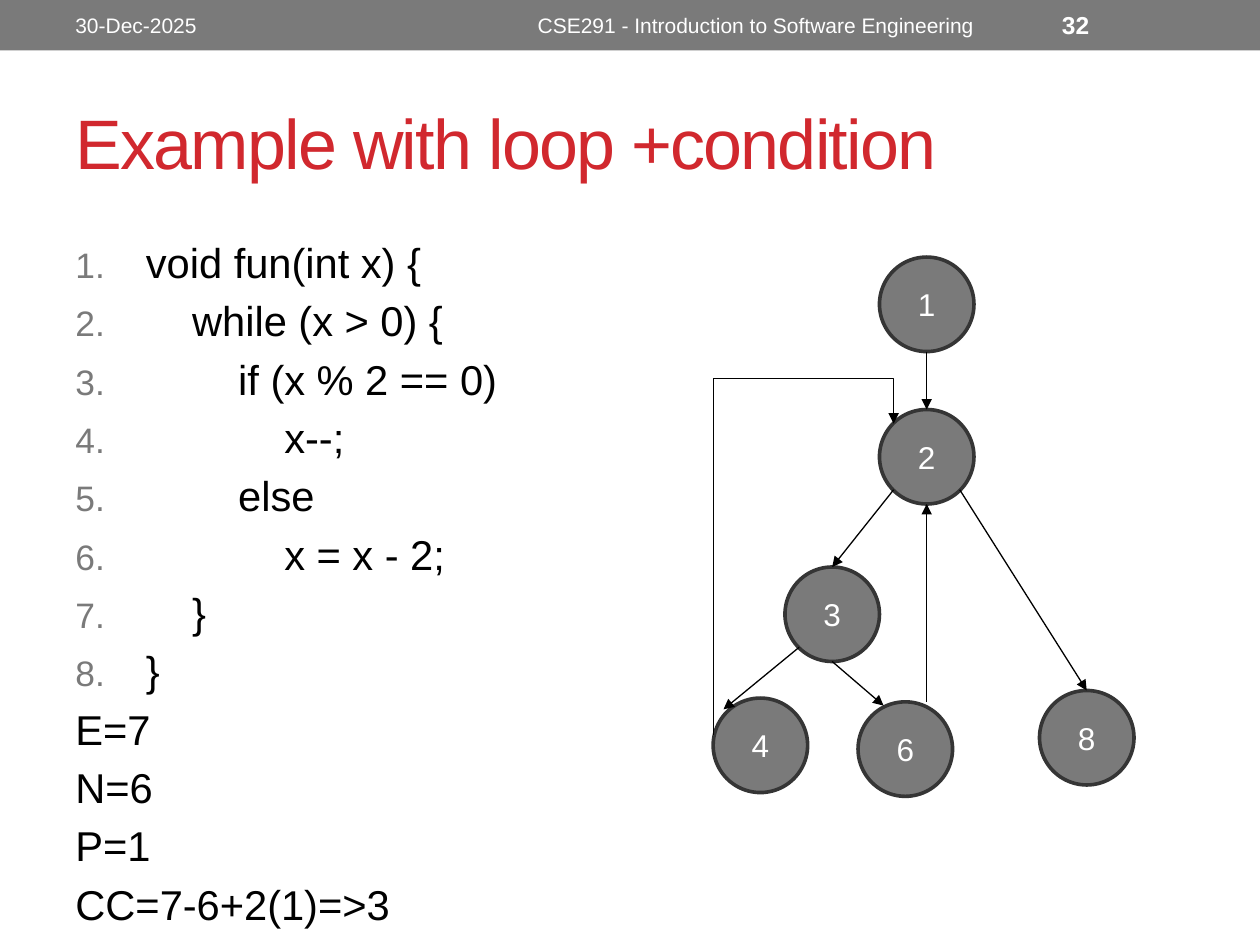
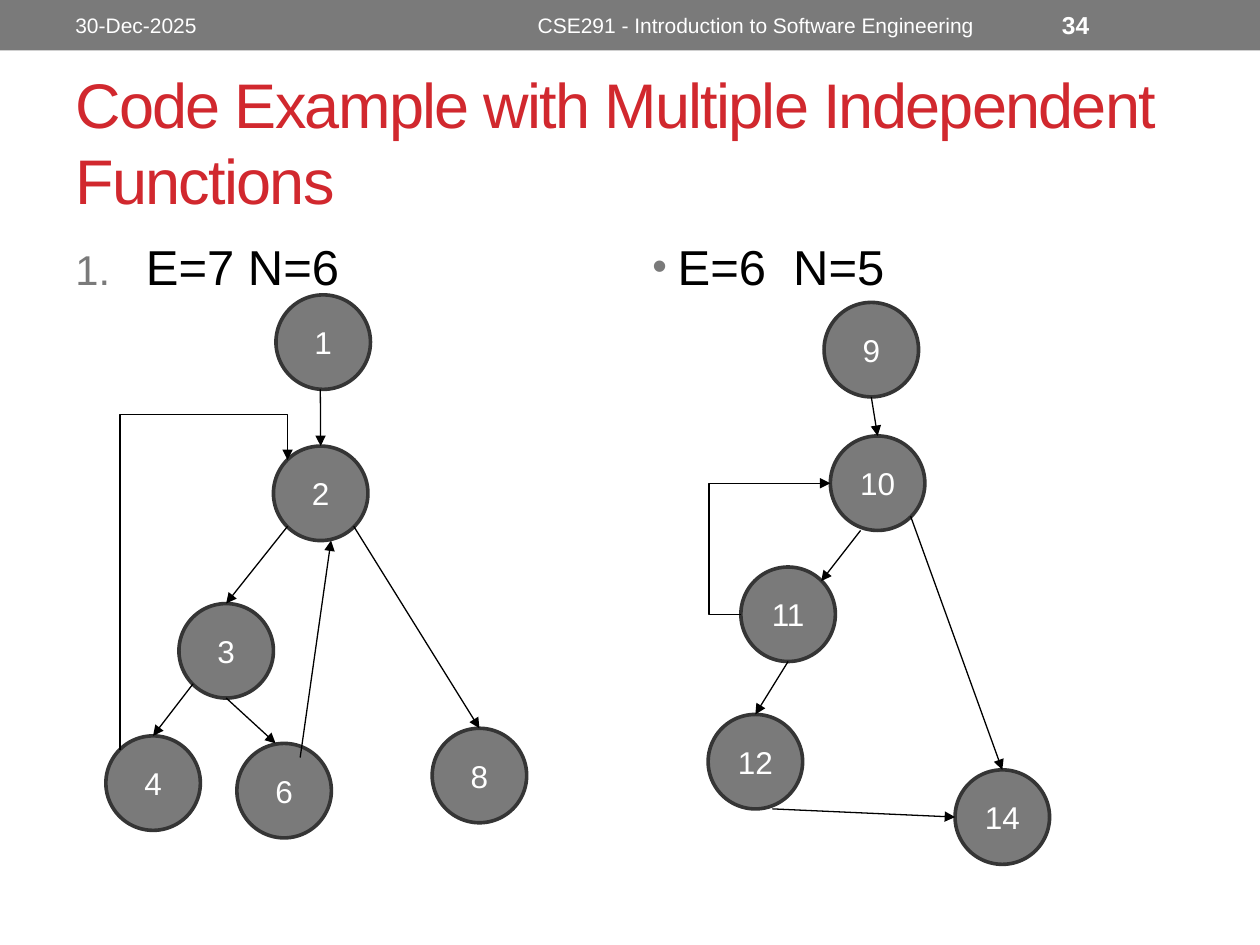
"""Build two slides on control flow graphs and cyclomatic complexity."""
from lxml import etree
from pptx import Presentation, util as u
from pptx.dml.color import RGBColor
from pptx.enum import shapes, text
from pptx.oxml.ns import qn

COLORS = {"gray": "7A7A7A", "outline": "353535", "red": "D1282E",
          "black": "000000", "white": "FFFFFF"}
FONT = "Arial"
COLS = 10
NODE = 0.75
LEFT, TITLE_TOP, BODY_TOP = 0.5, 0.58, 1.83
BODY_W, BODY_H = 4.42, 5.16
T, B, L = (0.5, 0), (0.5, 1), (0, 0.5)
TL, TR, BL, BR = (0.15, 0.15), (0.85, 0.15), (0.15, 0.85), (0.85, 0.85)

FOOTERS = [
    (0.5, 3.17, "30-Dec-2025", 12, False, text.PP_ALIGN.LEFT),
    (3.75, 4.5, "CSE291 - Introduction to Software Engineering", 12, False,
     text.PP_ALIGN.CENTER),
    (8.33, 1.17, None, 14, True, text.PP_ALIGN.LEFT),
]
CODE = ["void fun(int x) {", "    while (x > 0) {", "        if (x % 2 == 0)",
        "            x--;", "        else", "            x = x - 2;", "    }", "}"]
RESULTS = ["E=7", "N=6", "P=1", "CC=7-6+2(1)=>3"]

SLIDES = [
    {"number": "32", "title": "Example with loop +condition", "title_size": 40,
     "bodies": [(LEFT, 23.8, [("number", t) for t in CODE] + [("plain", t) for t in RESULTS])],
     "nodes": {"1": (6.98, 2.04), "2": (6.98, 3.25), "3": (6.23, 4.5),
               "4": (5.66, 5.54), "6": (6.81, 5.57), "8": (8.25, 5.48)},
     "arrows": [("1", B, "2", T), ("2", BL, "3", T), ("2", BR, "8", T),
                ("3", B, "6", (0.27, 0.04)), ("3", BL, "4", (0.11, 0.12)),
                ("6", (0.5 + 0.17 / NODE, 0), "2", B)],
     "loops": [("4", (0, 0.39), "2", TL, 90, 1.145)]},
    {"number": "34", "title": "Code Example with Multiple Independent Functions",
     "title_size": 36,
     "bodies": [(LEFT, 28, [("number", "E=7 N=6")]),
                (5.08, 28, [("bullet", "E=6  N=5")])],
     "nodes": {"1": (2.19, 2.34), "2": (2.17, 3.54), "3": (1.42, 4.79),
               "4": (0.84, 5.84), "6": (1.88, 5.9), "8": (3.43, 5.78),
               "9": (6.54, 2.4), "10": (6.59, 3.46), "11": (5.88, 4.5),
               "12": (5.62, 5.67), "14": (7.58, 6.11)},
     "arrows": [("1", (0.47, 1), "2", T), ("2", BL, "3", T), ("2", BR, "8", T),
                ("3", B, "6", (0.41, 0)), ("3", BL, "4", T),
                ("6", (0.67, 0.15), "2", (0.61, 1)),
                ("9", B, "10", T), ("10", (0.32, 1), "11", TR),
                ("11", B, "12", T), ("10", BR, "14", T),
                ("12", (0.68, 1), "14", L)],
     "loops": [("4", TL, "2", TL, 90, 1.157), ("11", L, "10", L, 180, -0.357)]},
]

prs = Presentation()
prs.slide_width, prs.slide_height = u.Inches(10), u.Inches(7.5)
UNIT = prs.slide_width // COLS


def add_run(p, words, size, color, bold=False):
    r = p.add_run()
    r.text = words
    r.font.name, r.font.size, r.font.bold = FONT, u.Pt(size), bold
    r.font.color.rgb = RGBColor.from_string(COLORS[color])
    return r


def add_arrow(s, kind, x1, y1, x2, y2):
    c = s.shapes.add_connector(kind, *(round(v * UNIT) for v in (x1, y1, x2, y2)))
    c.line.color.rgb = RGBColor.from_string(COLORS["black"])
    c.line.width = u.Pt(0.75)
    props = c.element.spPr
    etree.SubElement(props.find(qn("a:ln")), qn("a:tailEnd"), type="triangle")
    etree.SubElement(props, qn("a:effectLst"))
    return c


for data in SLIDES:
    s = prs.slides.add_slide(prs.slide_layouts[5])
    band = s.shapes.add_shape(shapes.MSO_SHAPE.RECTANGLE, 0, 0, prs.slide_width,
                              round(0.4 * UNIT))
    band.shadow.inherit = False
    band.fill.solid()
    band.fill.fore_color.rgb = RGBColor.from_string(COLORS["gray"])
    band.line.fill.background()

    title = s.shapes.title
    title.left, title.top, title.width, title.height = (
        round(v * UNIT) for v in (LEFT, TITLE_TOP, 9, 1.08))
    tf = title.text_frame
    tf.auto_size, tf.word_wrap = text.MSO_AUTO_SIZE.NONE, True
    tf.vertical_anchor = text.MSO_ANCHOR.MIDDLE
    p = tf.paragraphs[0]
    p.alignment = text.PP_ALIGN.LEFT
    r = add_run(p, data["title"], data["title_size"], "red")
    r.font._element.set("spc", "-100")

    for x, w, words, size, bold, align in FOOTERS:
        tf = s.shapes.add_textbox(*(round(v * UNIT) for v in (x, 0.02, w, 0.36))).text_frame
        tf.word_wrap, tf.vertical_anchor = True, text.MSO_ANCHOR.MIDDLE
        tf.paragraphs[0].alignment = align
        add_run(tf.paragraphs[0], words or data["number"], size, "white", bold)

    for x, size, lines in data["bodies"]:
        tf = s.shapes.add_textbox(
            *(round(v * UNIT) for v in (x, BODY_TOP, BODY_W, BODY_H))).text_frame
        tf.word_wrap = True
        for i, (style, words) in enumerate(lines):
            p = tf.add_paragraph() if i else tf.paragraphs[0]
            if style != "plain":
                indent = u.Inches(0.56 if style == "number" else 0.2)
                pPr = p._p.get_or_add_pPr()
                pPr.set("marL", str(indent))
                pPr.set("indent", str(-indent))
                clr = etree.SubElement(pPr, qn("a:buClr"))
                etree.SubElement(clr, qn("a:srgbClr"), val=COLORS["gray"])
                etree.SubElement(pPr, qn("a:buSzPct"), val="85000")
                etree.SubElement(pPr, qn("a:buFont"), typeface=FONT)
                if style == "number":
                    etree.SubElement(pPr, qn("a:buAutoNum"), type="arabicPeriod")
                else:
                    etree.SubElement(pPr, qn("a:buChar"), char="•")
            if i:
                p.space_before = u.Pt(0.2 * size)
            add_run(p, words, size, "black")

    nodes = {}
    for name, (x, y) in data["nodes"].items():
        sp = s.shapes.add_shape(shapes.MSO_SHAPE.OVAL,
                                *(round(v * UNIT) for v in (x, y, NODE, NODE)))
        sp.shadow.inherit = False
        sp.fill.solid()
        sp.fill.fore_color.rgb = RGBColor.from_string(COLORS["gray"])
        sp.line.color.rgb = RGBColor.from_string(COLORS["outline"])
        sp.line.width = u.Pt(2.08)
        tf = sp.text_frame
        tf.margin_left = tf.margin_right = 0
        tf.vertical_anchor = text.MSO_ANCHOR.MIDDLE
        tf.paragraphs[0].alignment = text.PP_ALIGN.CENTER
        add_run(tf.paragraphs[0], name, 18, "white")
        nodes[name] = sp

    for start, site1, end, site2 in data["arrows"]:
        (x1, y1), (x2, y2) = (
            [a + NODE * f for a, f in zip(data["nodes"][n], site)]
            for n, site in ((start, site1), (end, site2)))
        c = add_arrow(s, shapes.MSO_CONNECTOR.STRAIGHT, x1, y1, x2, y2)
        if site2 == T:
            c.end_connect(nodes[end], 0)

    for start, site1, end, site2, turn, bend in data["loops"]:
        (x1, y1), (x2, y2) = (
            [a + NODE * f for a, f in zip(data["nodes"][n], site)]
            for n, site in ((start, site1), (end, site2)))
        cx, cy, w, h = (x1 + x2) / 2, (y1 + y2) / 2, x2 - x1, y1 - y2
        if turn == 90:
            w, h = h, w
        c = add_arrow(s, shapes.MSO_CONNECTOR.ELBOW,
                      cx - w / 2, cy - h / 2, cx + w / 2, cy + h / 2)
        xfrm = c.element.spPr.find(qn("a:xfrm"))
        xfrm.set("rot", str(turn * 60000))
        xfrm.set("flipH", "1")
        if turn == 90:
            xfrm.set("flipV", "1")
        geom = c.element.spPr.find(qn("a:prstGeom"))
        etree.SubElement(geom.find(qn("a:avLst")), qn("a:gd"), name="adj1",
                         fmla=f"val {round(bend * 100000)}")

prs.save("out.pptx")
